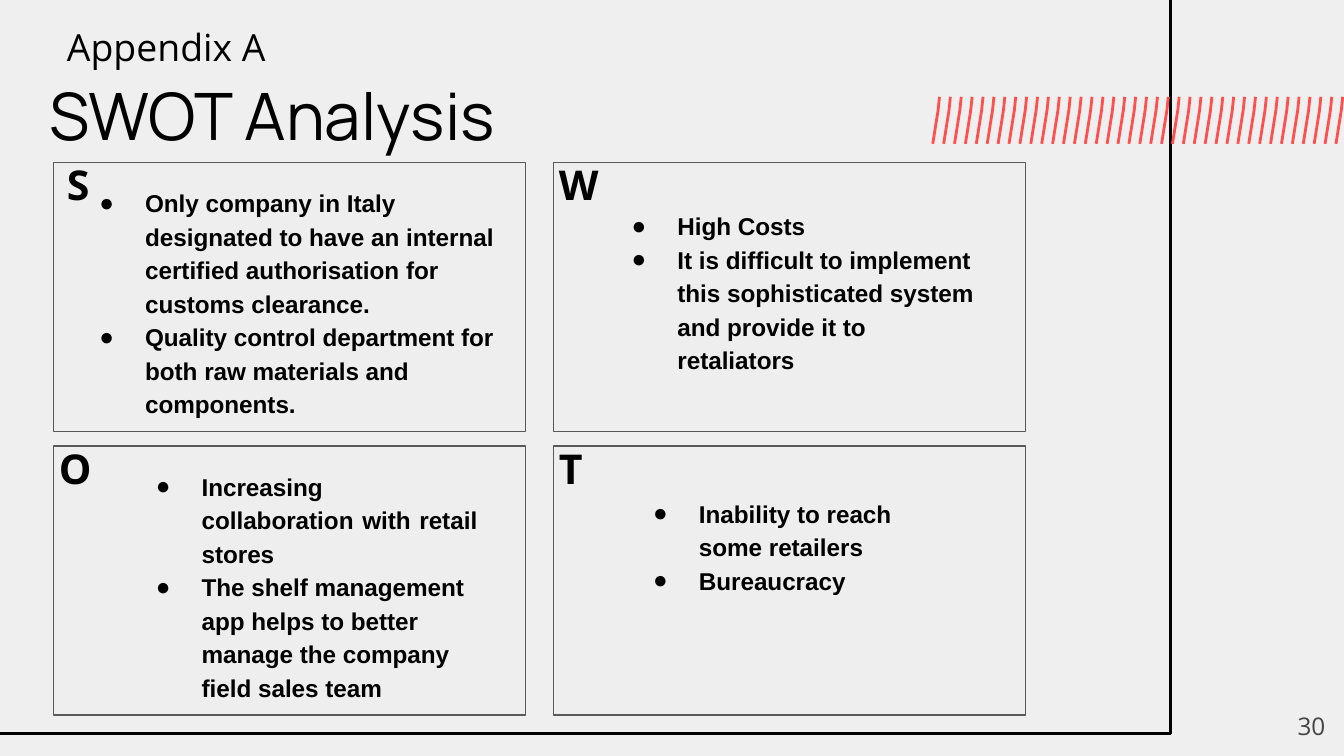
from lxml.etree import SubElement
from pptx import Presentation
from pptx.dml.color import RGBColor
from pptx.enum.shapes import MSO_SHAPE
from pptx.enum.text import MSO_ANCHOR, MSO_AUTO_SIZE, PP_ALIGN
from pptx.oxml.ns import qn
from pptx.util import Inches, Pt

# Content: lists carry their own place (left, top, width, height)
TITLE = "SWOT Analysis"
SECTION = "Appendix A"
PAGE_NUMBER = "30"
QUADRANTS = [
    {"letter": "S", "shift": 0, "width": 0.34, "list_at": (0.48, 1.27, 3.35, 1.93),
     "first_align": PP_ALIGN.LEFT,
     "points": ["Only company in Italy designated to have an internal certified "
                "authorisation for customs clearance.",
                "Quality control department for both raw materials and components."]},
    {"letter": "W", "shift": -0.06, "width": 0.55, "list_at": (4.44, 1.44, 3.01, 1.43),
     "first_align": PP_ALIGN.JUSTIFY,
     "points": ["High Costs",
                "It is difficult to implement this sophisticated system and "
                "provide it to retaliators"]},
    {"letter": "O", "shift": -0.06, "width": 0.34, "list_at": (0.9, 3.38, 2.75, 1.93),
     "first_align": PP_ALIGN.JUSTIFY,
     "points": ["Increasing collaboration with retail stores",
                "The shelf management app helps to better manage the company "
                "field sales team"]},
    {"letter": "T", "shift": -0.06, "width": 0.23, "list_at": (4.6, 3.58, 2.54, 0.92),
     "first_align": PP_ALIGN.LEFT,
     "points": ["Inability to reach some retailers", "Bureaucracy"]},
]

# Theme
THEME = {
    "background": "EFEFEF", "card": "EEEEEE", "card_line": "595959",
    "ink": "000000", "stripe": "FF4F4F",
    "title": {"name": "Manrope", "size": Pt(35), "bold": False, "color": "000000"},
    "section": {"name": "Open Sans", "size": Pt(20), "bold": False, "color": "000000"},
    "letter": {"name": "Open Sans", "size": Pt(22), "bold": True, "color": "000000"},
    "list": {"name": "Arial", "size": Pt(13), "bold": True, "color": "000000"},
    "number": {"name": "Open Sans", "size": Pt(13), "bold": False, "color": "434343"},
}

# Layout
SLIDE_WIDTH = Inches(10)
SLIDE_HEIGHT = SLIDE_WIDTH * 9 // 16
CARD_LEFT, CARD_TOP, CARD_WIDTH, CARD_HEIGHT = 0.4, 1.21, 3.51, 2
COLUMN_STEP, ROW_STEP = 3.72, 2.11
LETTER_RISE = 0.12
STRIPE_COUNT, STRIPE_LEFT, STRIPE_RIGHT = 38, 6.99, 9.99
STRIPE_OUTLINE = [(0, 0.72), (-0.01, 0.82), (-0.05, 1.07)]


def place(shape, at):
    for name, value in zip(("left", "top", "width", "height"), at):
        setattr(shape, name, Inches(value))


def style_line(shape, color, width):
    shape.shadow.inherit = False
    shape.line.color.rgb = RGBColor.from_string(color)
    shape.line.width = Pt(width)


def add_bullet(para):
    properties = para._p.get_or_add_pPr()
    properties.set("marL", str(Inches(0.5)))
    properties.set("indent", str(Inches(-0.34)))
    color = SubElement(properties, qn("a:buClr"))
    SubElement(color, qn("a:srgbClr")).set("val", THEME["ink"])
    SubElement(properties, qn("a:buFont")).set("typeface", "Arial")
    SubElement(properties, qn("a:buChar")).set("char", "●")


def write(box, texts, style, aligns=(PP_ALIGN.LEFT,), bullets=False):
    frame = box.text_frame
    settings = {"word_wrap": True, "auto_size": MSO_AUTO_SIZE.NONE,
                "vertical_anchor": MSO_ANCHOR.TOP}
    settings.update({f"margin_{side}": Inches(0.1)
                     for side in ("left", "right", "top", "bottom")})
    for name, value in settings.items():
        setattr(frame, name, value)
    for index, (text, align) in enumerate(zip(texts, aligns)):
        para = frame.paragraphs[0] if index == 0 else frame.add_paragraph()
        para.alignment = align
        para.line_spacing = 1.15 if bullets else 1.0
        para.space_before = Pt(0)
        if bullets:
            add_bullet(para)
        span = para.add_run()
        span.text = text
        for name in ("name", "size", "bold"):
            setattr(span.font, name, THEME[style][name])
        span.font.color.rgb = RGBColor.from_string(THEME[style]["color"])


def add_text(page, at, text, style, align=PP_ALIGN.LEFT):
    box = page.shapes.add_textbox(*map(Inches, at))
    write(box, [text], style, [align])


def add_decoration(page):
    frame = page.shapes.add_shape(
        MSO_SHAPE.RECTANGLE, *map(Inches, (-0.11, -0.11, 8.82, 5.57)))
    frame.fill.background()
    style_line(frame, THEME["ink"], 1.5)
    step = (STRIPE_RIGHT - STRIPE_LEFT) / (STRIPE_COUNT - 1)
    for index in range(STRIPE_COUNT):
        left = STRIPE_LEFT + index * step
        start, *rest = [(Inches(left + x), Inches(y)) for x, y in STRIPE_OUTLINE]
        builder = page.shapes.build_freeform(*start)
        builder.add_line_segments(rest, close=False)
        stripe = builder.convert_to_shape()
        stripe.fill.background()
        style_line(stripe, THEME["stripe"], 1.5)


def add_quadrant(page, index, quadrant, body):
    row, column = divmod(index, 2)
    left = CARD_LEFT + column * COLUMN_STEP
    top = CARD_TOP + row * ROW_STEP
    card = page.shapes.add_shape(
        MSO_SHAPE.RECTANGLE, *map(Inches, (left, top, CARD_WIDTH, CARD_HEIGHT)))
    card.fill.solid()
    card.fill.fore_color.rgb = RGBColor.from_string(THEME["card"])
    style_line(card, THEME["card_line"], 0.75)
    letter_at = (left + quadrant["shift"], top - LETTER_RISE, quadrant["width"], 0.57)
    add_text(page, letter_at, quadrant["letter"], "letter")
    # Bring the list in front of its card
    page.shapes._spTree.append(body._element)
    place(body, quadrant["list_at"])
    write(body, quadrant["points"], "list",
          [quadrant["first_align"], PP_ALIGN.LEFT], bullets=True)


def main():
    deck = Presentation()
    deck.slide_width, deck.slide_height = SLIDE_WIDTH, SLIDE_HEIGHT
    # The comparison layout has a title and four bodies
    page = deck.slides.add_slide(deck.slide_layouts[4])
    page.background.fill.solid()
    page.background.fill.fore_color.rgb = RGBColor.from_string(THEME["background"])
    title, *bodies = list(page.placeholders)

    add_decoration(page)
    place(title, (0.27, 0.46, 8.43, 0.63))
    write(title, [TITLE], "title")
    for index, (quadrant, body) in enumerate(zip(QUADRANTS, bodies)):
        add_quadrant(page, index, quadrant, body)
    add_text(page, (0.4, 0.08, 1.77, 0.54), SECTION, "section")
    add_text(page, (9.36, 5.19, 0.6, 0.43), PAGE_NUMBER, "number", PP_ALIGN.RIGHT)
    deck.save("out.pptx")


if __name__ == "__main__":
    main()
